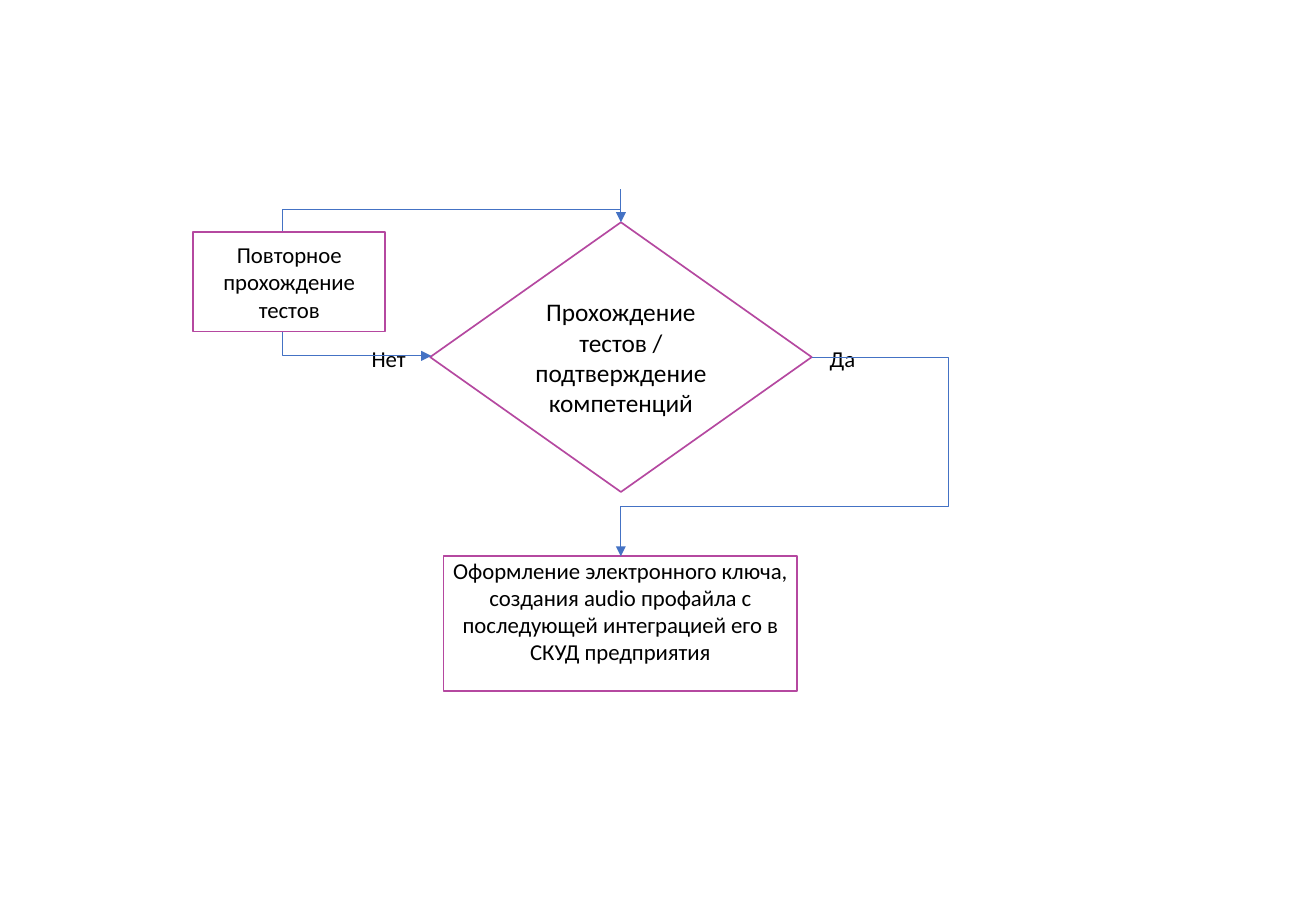
from dataclasses import dataclass
from typing import Any

from lxml import etree
from pptx import Presentation
from pptx.dml import color as dml
from pptx.enum import shapes, text
from pptx.oxml import ns
from pptx.util import Inches, Pt

COLOURS = {"paper": "FFFFFF", "border": "B548A0", "arrow": "4472C4", "ink": "000000"}
FONT = "Calibri"
CENTRE = 5.11


@dataclass(frozen=True)
class Step:
    wording: str
    kind: shapes.MSO_SHAPE
    place: tuple[float, float, float, float]
    size: float = 13.5
    anchor: text.MSO_ANCHOR = text.MSO_ANCHOR.MIDDLE
    top_inset: float = 0.04


@dataclass(frozen=True)
class Route:
    start: tuple[float, float]
    finish: tuple[float, float]
    bends: tuple[float, ...] = ()


@dataclass(frozen=True)
class Label:
    wording: str
    place: tuple[float, float, float, float]


DECISION = Step("Прохождение тестов / подтверждение компетенций",
                shapes.MSO_SHAPE.FLOWCHART_DECISION, (3.54, 1.83, 3.14, 2.22), size=15)
ISSUE = Step("Оформление электронного ключа, создания audio профайла с "
             "последующей интеграцией его в СКУД предприятия",
             shapes.MSO_SHAPE.FLOWCHART_PROCESS, (3.65, 4.58, 2.91, 1.11),
             anchor=text.MSO_ANCHOR.TOP, top_inset=0)
RETRY = Step("Повторное прохождение тестов",
             shapes.MSO_SHAPE.FLOWCHART_PROCESS, (1.59, 1.91, 1.58, 0.82))
LABELS = (Label("Нет", (2.96, 2.79, 0.49, 0.33)), Label("Да", (6.73, 2.79, 0.42, 0.33)))
ENTRY = Route((CENTRE, 1.56), (CENTRE, 1.83))
ELBOWS = (Route((CENTRE, 1.72), (3.55, 2.93), (1.785,)),
          Route((6.68, 2.94), (CENTRE, 4.58), (-0.718, 0.748)))


def colour(name: str) -> dml.RGBColor:
    """Return a named palette colour."""
    return dml.RGBColor.from_string(COLOURS[name])


def write_text(frame: Any, wording: str, *, size: float = 13.5,
               align: text.PP_ALIGN = text.PP_ALIGN.LEFT, wrap: bool = True) -> None:
    """Write one formatted paragraph into a text frame."""
    frame.word_wrap = wrap
    para = frame.paragraphs[0]
    para.alignment = align
    span = para.add_run()
    span.text = wording
    span.font.name = FONT
    span.font.size = Pt(size)
    span.font.color.rgb = colour("ink")


def draw_step(page: Any, step: Step) -> Any:
    """Draw a flowchart step and return its shape."""
    box = page.shapes.add_shape(step.kind, *map(Inches, step.place))
    box.shadow.inherit = False
    box.fill.solid()
    box.fill.fore_color.rgb = colour("paper")
    box.line.color.rgb = colour("border")
    box.line.width = Pt(1)
    frame = box.text_frame
    frame.margin_left = frame.margin_right = Inches(0.07)
    frame.margin_top, frame.margin_bottom = Inches(step.top_inset), Inches(0.04)
    frame.vertical_anchor = step.anchor
    write_text(frame, step.wording, size=step.size, align=text.PP_ALIGN.CENTER)
    return box


def draw_label(page: Any, label: Label) -> None:
    """Draw the wording of one branch."""
    box = page.shapes.add_textbox(*map(Inches, label.place))
    write_text(box.text_frame, label.wording, wrap=False)


def draw_route(page: Any, route: Route) -> Any:
    """Draw a straight or bent arrow and return its connector."""
    kind = shapes.MSO_CONNECTOR.ELBOW if route.bends else shapes.MSO_CONNECTOR.STRAIGHT
    arrow = page.shapes.add_connector(kind, *map(Inches, route.start + route.finish))
    arrow.line.color.rgb = colour("arrow")
    arrow.line.width = Pt(0.5)
    properties = arrow._element.spPr
    etree.SubElement(arrow.line._get_or_add_ln(), ns.qn("a:tailEnd"), type="triangle")
    etree.SubElement(properties, ns.qn("a:effectLst"))
    if route.bends:
        geometry = properties.find(ns.qn("a:prstGeom"))
        geometry.set("prst", f"bentConnector{len(route.bends) + 2}")
        guides = geometry.find(ns.qn("a:avLst"))
        for number, bend in enumerate(route.bends, 1):
            etree.SubElement(guides, ns.qn("a:gd"), name=f"adj{number}",
                             fmla=f"val {round(bend * 100000)}")
    return arrow


def main() -> None:
    """Build the flowchart slide and save it."""
    deck = Presentation()
    deck.slide_width, deck.slide_height = Inches(10.83), Inches(7.5)
    page = deck.slides.add_slide(deck.slide_layouts[6])
    decision = draw_step(page, DECISION)
    draw_route(page, ENTRY).end_connect(decision, 0)
    for label in LABELS:
        draw_label(page, label)
    draw_step(page, ISSUE)
    for elbow in ELBOWS:
        draw_route(page, elbow)
    draw_step(page, RETRY)
    deck.save("out.pptx")


if __name__ == "__main__":
    main()
